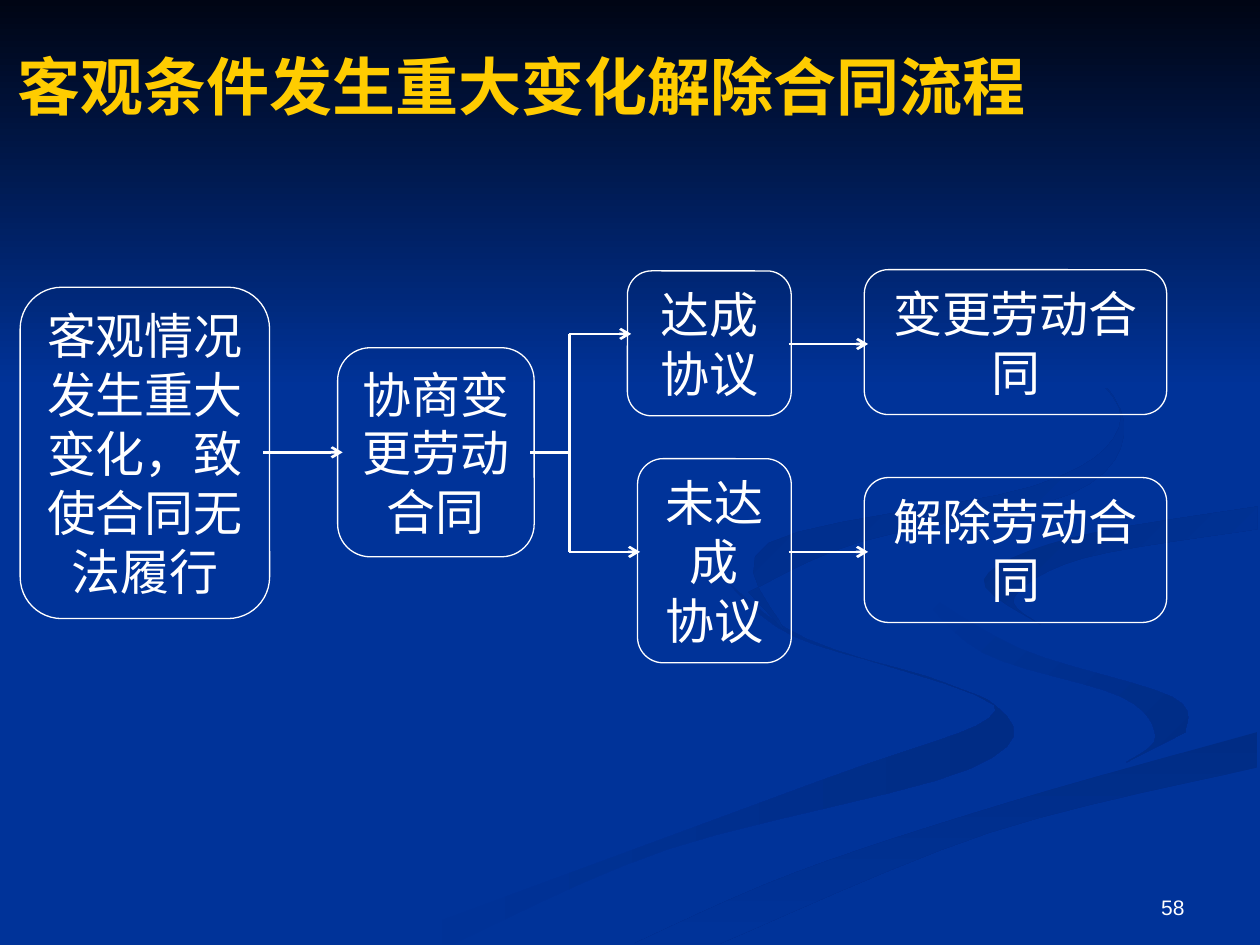
from dataclasses import dataclass

from lxml.etree import SubElement
from pptx import Presentation
from pptx.dml.color import RGBColor
from pptx.enum.shapes import MSO_CONNECTOR as CONNECTOR, MSO_SHAPE as SHAPE
from pptx.enum.text import MSO_ANCHOR as ANCHOR, PP_ALIGN as ALIGN
from pptx.oxml.ns import qn
from pptx.util import Inches, Pt

BLUE = RGBColor(0x00, 0x33, 0x99)
NIGHT = RGBColor(0x00, 0x05, 0x14)
SHADE = RGBColor(0x00, 0x2C, 0x85)
YELLOW = RGBColor(0xFF, 0xCC, 0x00)
WHITE = RGBColor(0xFF, 0xFF, 0xFF)
BODY_FONT = "Arial"
TITLE_FONT = "Times New Roman"

Edge = list[tuple[float, float]]


@dataclass
class Ribbon:
    """Background curve between two smooth edges, in inches."""
    there: Edge
    back: Edge
    start: RGBColor
    end: RGBColor
    angle: int  # clockwise


@dataclass
class Step:
    left: float
    top: float
    width: float
    height: float
    text: str


@dataclass
class Link:
    x1: float
    y1: float
    x2: float
    y2: float
    arrow: bool = True


RIBBONS = [
    Ribbon([(5.75, 4.6), (6.3, 5.05), (7.5, 5.42), (7.85, 5.7), (6.5, 6.2), (3, 7.49)],
           [(3.6, 7.49), (5.3, 6.74), (7.7, 6.1), (7.9, 5.6), (6.4, 5.07), (5.75, 4.6)],
           BLUE, SHADE, 0),
    Ribbon([(7.24, 4.64), (7.8, 5.18), (8.9, 5.53), (9.17, 5.85), (8.94, 6.05)],
           [(9.41, 5.81), (9.3, 5.53), (8.1, 5.15), (7.24, 4.64)], BLUE, SHADE, 45),
    Ribbon([(5.03, 7.49), (6.3, 6.93), (8, 6.37), (9.98, 5.81)],
           [(9.98, 6.09), (7.85, 6.61), (5.71, 7.49)], SHADE, BLUE, 90),
    Ribbon([(8.26, 4.96), (7.81, 4.6), (8.5, 4.27), (9.98, 4.02)],
           [(9.98, 4.2), (8.6, 4.43), (8.05, 4.74), (8.26, 4.96)], SHADE, BLUE, 45),
    Ribbon([(7.62, 2.33), (8.6, 2.9), (8.88, 3.4), (8.2, 3.86), (6.1, 4.31), (6.22, 5)],
           [(5.94, 4.7), (6.83, 4.3), (8.5, 3.92), (8.92, 3.35), (8.4, 2.73), (7.62, 2.33)],
           SHADE, BLUE, 45),
    Ribbon([(0, 0), (10, 0)], [(10, 3.08), (0, 3.08)], NIGHT, BLUE, 90),
]

STEPS = [
    Step(0.16, 2.28, 1.98, 2.63, "客观情况发生重大\n变化，致使合同无法履行"),
    Step(4.98, 2.15, 1.3, 1.15, "达成\n协议"),
    Step(2.68, 2.76, 1.56, 1.66, "协商变更劳动合同"),
    Step(6.86, 2.14, 2.4, 1.15, "变更劳动合同"),
    Step(5.06, 3.64, 1.22, 1.62, "未达成\n协议"),
    Step(6.86, 3.79, 2.4, 1.15, "解除劳动合同"),
]

FORK_X, MAIN_Y, UPPER_Y, LOWER_Y = 4.52, 3.59, 2.65, 4.38
LINKS = [
    Link(2.09, MAIN_Y, 2.72, MAIN_Y),
    Link(4.21, MAIN_Y, FORK_X, MAIN_Y, arrow=False),
    Link(FORK_X, UPPER_Y, FORK_X, LOWER_Y, arrow=False),
    Link(FORK_X, UPPER_Y, 5.01, UPPER_Y),
    Link(FORK_X, LOWER_Y, 5.08, LOWER_Y),
    Link(6.26, 2.73, 6.89, 2.73),
    Link(6.26, LOWER_Y, 6.89, LOWER_Y),
]


def smooth(edge: Edge, pieces: int = 6) -> Edge:
    """Run a Catmull-Rom curve through the points of an edge."""
    padded = [edge[0], *edge, edge[-1]]
    curve = []
    for a, b, c, d in zip(padded, padded[1:], padded[2:], padded[3:]):
        for piece in range(pieces):
            t = piece / pieces
            curve.append(tuple(
                q + t * ((r - p) + t * ((2 * p - 5 * q + 4 * r - s)
                                        + t * (3 * q - p - 3 * r + s))) / 2
                for p, q, r, s in zip(a, b, c, d)))
    return curve + [edge[-1]]


def draw_ribbon(slide, ribbon: Ribbon) -> None:
    outline = [(Inches(x), Inches(y)) for x, y in smooth(ribbon.there) + smooth(ribbon.back)]
    builder = slide.shapes.build_freeform(*outline[0])
    builder.add_line_segments(outline[1:], close=True)
    curve = builder.convert_to_shape()
    curve.shadow.inherit = False
    curve.line.fill.background()
    curve.fill.gradient()
    curve.fill.gradient_angle = -ribbon.angle % 360
    for stop, color in zip(curve.fill.gradient_stops, (ribbon.start, ribbon.end)):
        stop.color.rgb = color


def style_text(frame, size: int, font: str, color: RGBColor, align, bold=False) -> None:
    for paragraph in frame.paragraphs:
        paragraph.alignment = align
        for run in paragraph.runs:
            run.font.size, run.font.name, run.font.bold = Pt(size), font, bold
            run.font.color.rgb = color


def draw_step(slide, step: Step) -> None:
    box = slide.shapes.add_shape(SHAPE.ROUNDED_RECTANGLE, Inches(step.left), Inches(step.top),
                                 Inches(step.width), Inches(step.height))
    box.shadow.inherit = False
    box.fill.background()
    box.line.color.rgb = WHITE
    box.line.width = Pt(0.75)
    frame = box.text_frame
    frame.text = step.text
    frame.word_wrap = True
    frame.vertical_anchor = ANCHOR.MIDDLE
    style_text(frame, 28, BODY_FONT, WHITE, ALIGN.CENTER)


def draw_link(slide, link: Link) -> None:
    line = slide.shapes.add_connector(CONNECTOR.STRAIGHT, Inches(link.x1), Inches(link.y1),
                                      Inches(link.x2), Inches(link.y2))
    line.line.color.rgb = WHITE
    line.line.width = Pt(1.5)
    properties = line._element.spPr
    if link.arrow:
        SubElement(properties.find(qn("a:ln")), qn("a:tailEnd"), type="arrow")
    SubElement(properties, qn("a:effectLst"))


def main() -> None:
    deck = Presentation()
    deck.slide_width, deck.slide_height = Inches(10), Inches(7.5)
    slide = deck.slides.add_slide(deck.slide_layouts[5])

    # Background
    slide.background.fill.solid()
    slide.background.fill.fore_color.rgb = BLUE
    for ribbon in RIBBONS:
        draw_ribbon(slide, ribbon)

    # Page number
    number = slide.shapes.add_textbox(Inches(7.17), Inches(6.83), Inches(2.33), Inches(0.52))
    number.text_frame.text = "58"
    number.text_frame.word_wrap = True
    number.text_frame.vertical_anchor = ANCHOR.BOTTOM
    style_text(number.text_frame, 12, BODY_FONT, WHITE, ALIGN.RIGHT)

    # Title, brought in front of the background
    title = slide.shapes.title
    title.left, title.top = Inches(0.04), Inches(0.05)
    title.width, title.height = Inches(9), Inches(1.25)
    title.text_frame.text = "客观条件发生重大变化解除合同流程"
    title.text_frame.vertical_anchor = ANCHOR.MIDDLE
    style_text(title.text_frame, 36, TITLE_FONT, YELLOW, ALIGN.LEFT, bold=True)
    slide.shapes._spTree.append(title._element)

    # Flow chart
    for step in STEPS:
        draw_step(slide, step)
    for link in LINKS:
        draw_link(slide, link)

    deck.save("out.pptx")


if __name__ == "__main__":
    main()
